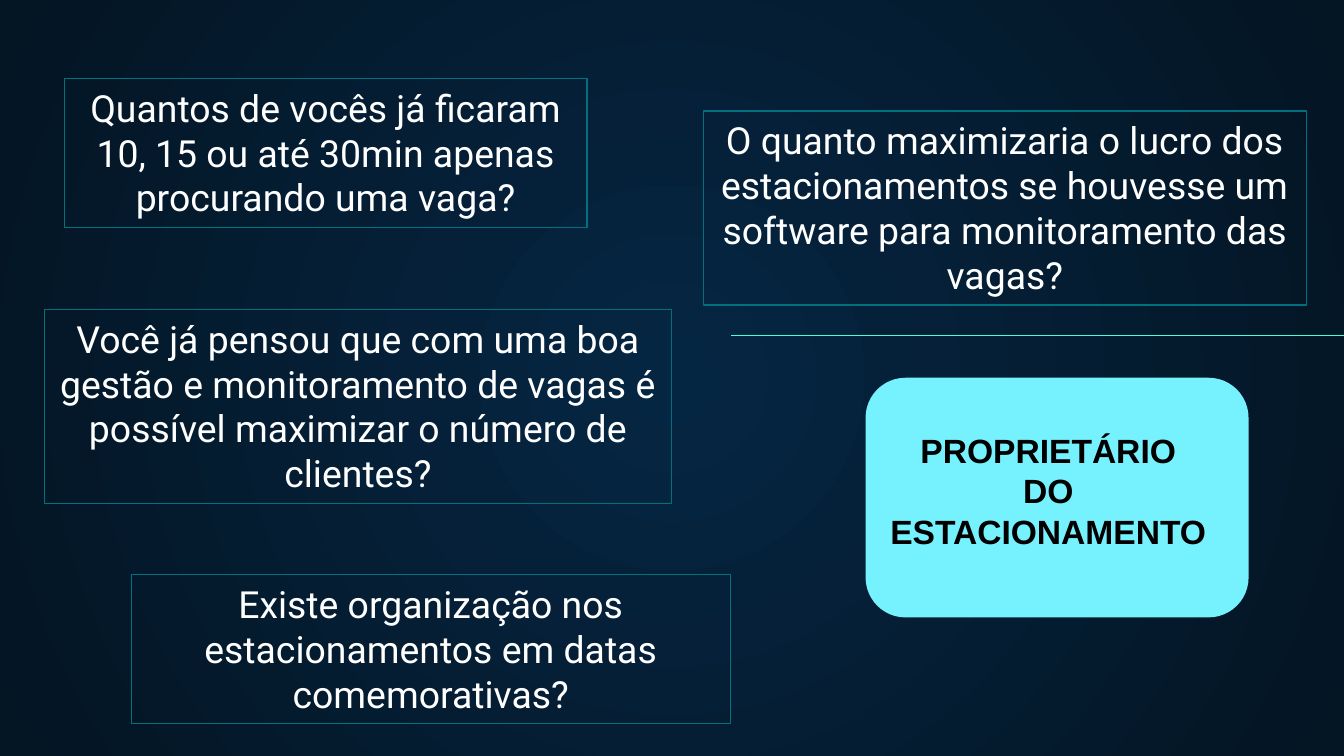
from lxml import etree
from pptx import Presentation
from pptx.dml.color import RGBColor
from pptx.enum.shapes import MSO_CONNECTOR, MSO_SHAPE
from pptx.enum.text import MSO_ANCHOR, PP_ALIGN
from pptx.oxml.ns import qn
from pptx.util import Pt

STRAIGHT = MSO_CONNECTOR.STRAIGHT
RECTANGLE = MSO_SHAPE.RECTANGLE
ROUNDED = MSO_SHAPE.ROUNDED_RECTANGLE
TOP = MSO_ANCHOR.TOP
CENTER = PP_ALIGN.CENTER

WIDTH, HEIGHT = 720, 405
QUESTIONS = [
    ("Quantos de vocês já ficaram 10, 15 ou até 30min apenas procurando uma vaga?",
     (34.5, 42, 280, 80)),
    ("Você já pensou que com uma boa gestão e monitoramento de vagas é possível "
     "maximizar o número de clientes?",
     (23.8, 165.7, 336, 104)),
    ("Existe organização nos estacionamentos em datas comemorativas?",
     (70.4, 307.8, 320.8, 80)),
    ("O quanto maximizaria o lucro dos estacionamentos se houvesse um software "
     "para monitoramento das vagas?",
     (376.8, 59.4, 323, 104)),
]
OWNER_LINES = ["PROPRIETÁRIO", "DO", "ESTACIONAMENTO"]


def color(code):
    """Turn a hex string into a colour."""
    return RGBColor.from_string(code)


def paint_background(page):
    """Fill the page with a gradient spreading from its centre."""
    fill = page.background.fill
    fill.gradient()
    for stop, code in zip(fill.gradient_stops, ("052643", "041523")):
        stop.color.rgb = color(code)
    gradient = page.element.find(".//" + qn("a:gradFill"))
    gradient.remove(gradient.find(qn("a:lin")))
    spread = etree.SubElement(gradient, qn("a:path"), path="circle")
    etree.SubElement(spread, qn("a:fillToRect"), l="50000", t="50000", r="50000", b="50000")


def write_lines(shape, lines, font, size, code, bold=False):
    """Write centred paragraphs from the top of a shape."""
    frame = shape.text_frame
    frame.word_wrap = True
    frame.vertical_anchor = TOP
    for index, line in enumerate(lines):
        para = frame.add_paragraph() if index else frame.paragraphs[0]
        para.alignment = CENTER
        span = para.add_run()
        span.text = line
        span.font.name = font
        span.font.size = Pt(size)
        span.font.bold = bold
        span.font.color.rgb = color(code)


def add_question(page, text, box):
    """Place a question in a thin outlined frame."""
    frame = page.shapes.add_shape(RECTANGLE, *map(Pt, box))
    frame.shadow.inherit = False
    frame.fill.background()
    frame.line.color.rgb = color("00717D")
    frame.line.width = Pt(0.75)
    write_lines(frame, [text], "Roboto", 20, "FFFFFF")


def add_divider(page, left, top, right):
    """Draw a thin horizontal line."""
    divider = page.shapes.add_connector(STRAIGHT, Pt(left), Pt(top), Pt(right), Pt(top))
    divider.line.color.rgb = color("48FFD5")
    divider.line.width = Pt(0.75)
    etree.SubElement(divider.element.spPr, qn("a:effectLst"))


def add_owner_card(page, left, top, width, height):
    """Place the rounded card with its title."""
    card = page.shapes.add_shape(ROUNDED, Pt(left), Pt(top), Pt(width), Pt(height))
    card.shadow.inherit = False
    card.fill.solid()
    card.fill.fore_color.rgb = color("76F2FF")
    card.line.fill.background()
    title = page.shapes.add_textbox(Pt(left - 14.4), Pt(top + 24.4), Pt(width + 19.4), Pt(72.7))
    write_lines(title, OWNER_LINES, "Arial", 18, "000000", bold=True)


def main():
    """Build the deck and save it."""
    deck = Presentation()
    deck.slide_width, deck.slide_height = Pt(WIDTH), Pt(HEIGHT)
    page = deck.slides.add_slide(deck.slide_layouts[6])
    paint_background(page)
    add_divider(page, 391.5, 179.8, WIDTH)
    for text, box in QUESTIONS:
        add_question(page, text, box)
    add_owner_card(page, 463.7, 202.4, 205.2, 128.4)
    deck.save("out.pptx")


if __name__ == "__main__":
    main()
